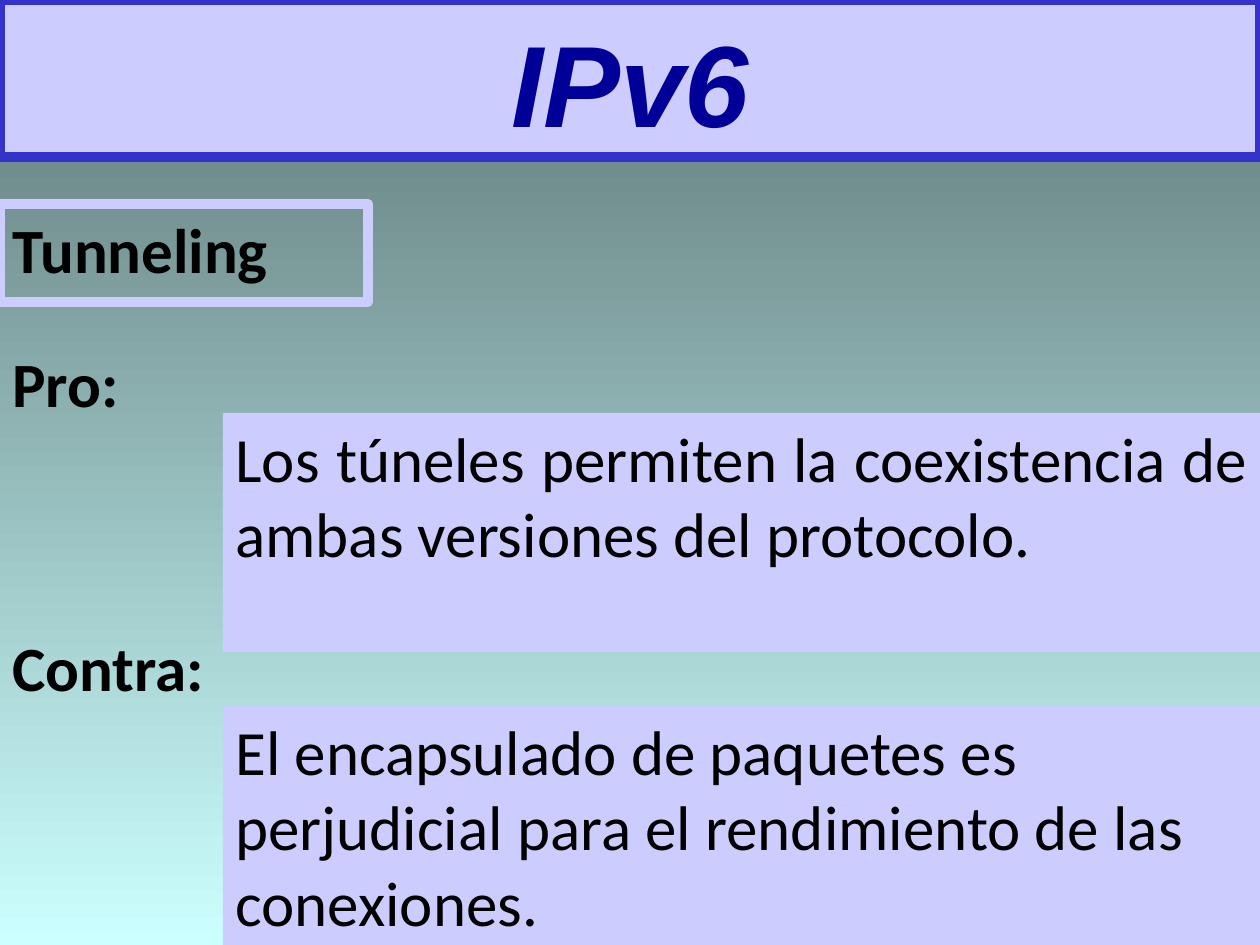
"""Build the IPv6 tunneling slide with its pro and contra."""
from pptx import Presentation
from pptx.dml.color import RGBColor
from pptx.enum.shapes import MSO_SHAPE
from pptx.enum.text import MSO_ANCHOR, MSO_AUTO_SIZE, PP_ALIGN
from pptx.util import Pt

SCALE = 914400 / 126
LILAC = "CCCCFF"


def tint(code):
    return RGBColor.from_string(code)


def write(shape, text, size=36, face="Calibri", color="000000", bold=False,
          slant=False, align=PP_ALIGN.LEFT, anchor=MSO_ANCHOR.TOP, wrap=True):
    frame = shape.text_frame
    frame.text = text
    frame.word_wrap = wrap
    frame.auto_size = MSO_AUTO_SIZE.NONE
    frame.vertical_anchor = anchor
    para = frame.paragraphs[0]
    para.alignment = align
    font = para.runs[0].font
    font.size, font.name = Pt(size), face
    font.bold, font.italic = bold, slant
    font.color.rgb = tint(color)


deck = Presentation()
deck.slide_width, deck.slide_height = [round(v * SCALE) for v in (1260, 945)]
slide = deck.slides.add_slide(deck.slide_layouts[5])

back = slide.background.fill
back.gradient()
back.gradient_angle = 270
for stop, code in zip(back.gradient_stops, ("5E7676", "CCFFFF")):
    stop.color.rgb = tint(code)

title = slide.shapes.title
title.left, title.top = 0, 0
title.width, title.height = [round(v * SCALE) for v in (1260, 157)]
title.fill.solid()
title.fill.fore_color.rgb = tint(LILAC)
title.line.color.rgb = tint("3333CC")
title.line.width = Pt(6)
write(title, "IPv6", size=66, face="Arial", color="000099", bold=True,
      slant=True, align=PP_ALIGN.CENTER, anchor=MSO_ANCHOR.BOTTOM)

points = [
    ("Pro:", 338, 136, 413, PP_ALIGN.JUSTIFY,
     "Los túneles permiten la coexistencia de ambas versiones del protocolo."),
    ("Contra:", 622, 228, 706, PP_ALIGN.LEFT,
     "El encapsulado de paquetes es perjudicial para el rendimiento de las conexiones."),
]
for head, y, wide, top, align, body in points:
    panel = slide.shapes.add_shape(
        MSO_SHAPE.RECTANGLE, *[round(v * SCALE) for v in (223, top, 1037, 239)])
    panel.shadow.inherit = False
    panel.fill.solid()
    panel.fill.fore_color.rgb = tint(LILAC)
    panel.line.fill.background()
    write(panel, body, align=align)
    label = slide.shapes.add_textbox(*[round(v * SCALE) for v in (0, y, wide, 88)])
    write(label, head, bold=True, wrap=False)

topic = slide.shapes.add_shape(
    MSO_SHAPE.RECTANGLE, *[round(v * SCALE) for v in (0, 204, 368, 98)])
topic.shadow.inherit = False
topic.fill.background()
topic.line.color.rgb = tint(LILAC)
topic.line.width = Pt(6)
write(topic, "Tunneling", bold=True)

deck.save("out.pptx")
